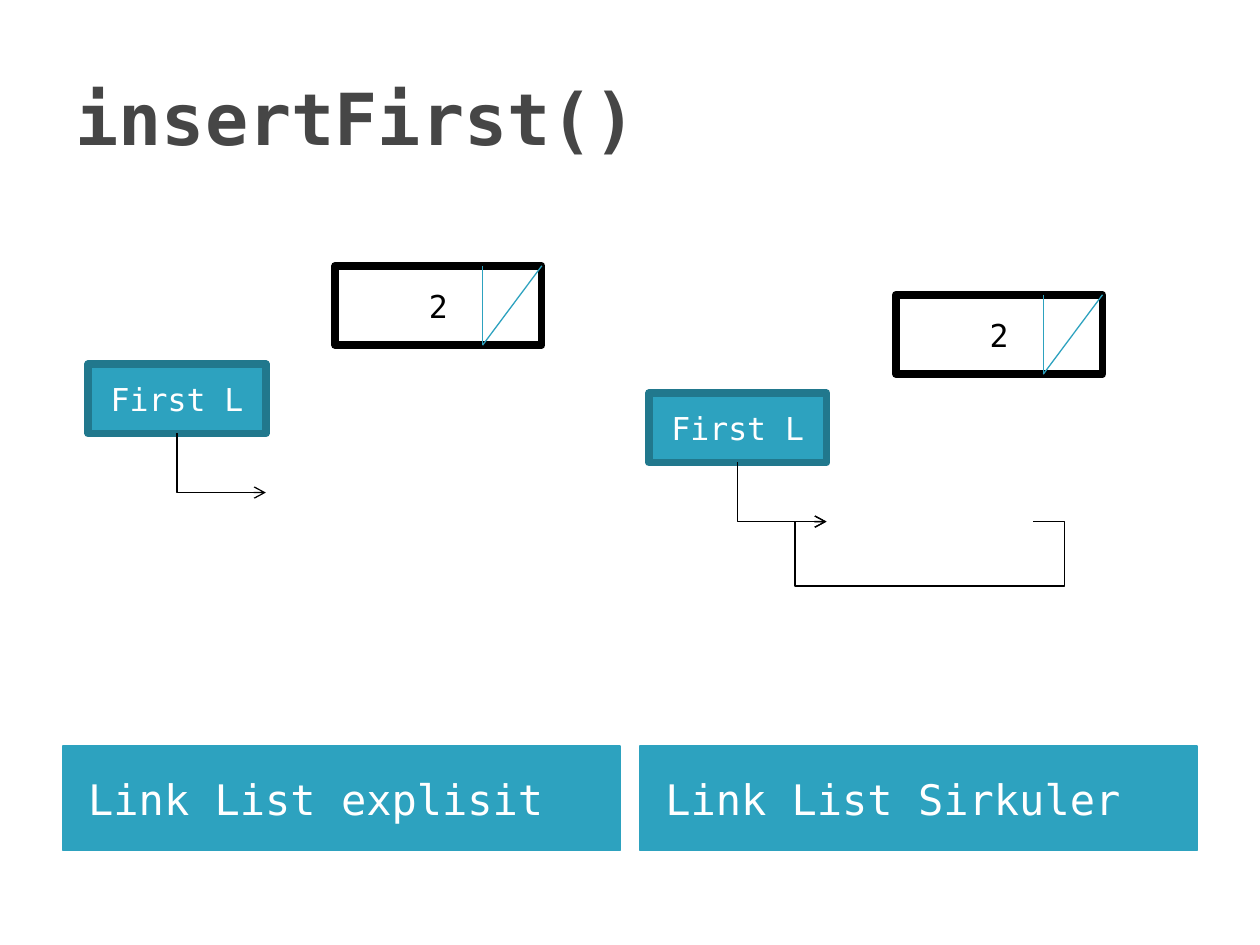
from dataclasses import dataclass

from pptx import Presentation
from pptx.dml.color import RGBColor
from pptx.enum.shapes import MSO_CONNECTOR, MSO_SHAPE
from pptx.enum.text import MSO_ANCHOR, MSO_AUTO_SIZE, PP_ALIGN
from pptx.oxml.ns import qn
from pptx.util import Inches, Pt
from lxml.etree import SubElement


@dataclass(frozen=True)
class Theme:
    font: str = "DejaVu Sans Mono"
    accent: str = "2DA2BF"
    accent_dark: str = "21788D"
    heading: str = "464646"
    black: str = "000000"
    white: str = "FFFFFF"
    title_size: float = 41
    caption_size: float = 24
    label_size: float = 18
    thin: float = 0.75
    thick: float = 4.33


def set_text(shape, text, *, size, color, font, bold=False, align=PP_ALIGN.LEFT,
             space_before=0, inset=0.1):
    frame = shape.text_frame
    frame.text = text
    frame.word_wrap = True
    frame.auto_size = MSO_AUTO_SIZE.NONE
    frame.vertical_anchor = MSO_ANCHOR.MIDDLE
    frame.margin_left, frame.margin_right = Inches(inset), Inches(0.1)
    frame.margin_top = frame.margin_bottom = Inches(0.05)
    paragraph = frame.paragraphs[0]
    paragraph.alignment = align
    paragraph.space_before = Pt(space_before)
    paragraph.font.name = font
    paragraph.font.size = Pt(size)
    paragraph.font.bold = bold
    paragraph.font.color.rgb = RGBColor.from_string(color)


def place(shape, left, top, width, height):
    shape.left, shape.top = Inches(left), Inches(top)
    shape.width, shape.height = Inches(width), Inches(height)


def set_line(shape, color, width):
    shape.line.color.rgb = RGBColor.from_string(color)
    shape.line.width = Pt(width)


def set_fill(shape, color):
    shape.fill.solid()
    shape.fill.fore_color.rgb = RGBColor.from_string(color)


def add_arrowhead(shape, end):
    """Put an open arrowhead on one end of a line: "headEnd" or "tailEnd"."""
    SubElement(shape.line._get_or_add_ln(), qn(f"a:{end}"), type="arrow")


class ListSlide:
    def __init__(self, presentation, theme):
        self.theme = theme
        self.slide = presentation.slides.add_slide(presentation.slide_layouts[4])
        for index in (2, 4):
            placeholder = self.slide.placeholders[index]
            placeholder.element.getparent().remove(placeholder.element)

    def title(self, text):
        title = self.slide.shapes.title
        place(title, 0.5, 0.3, 9, 1.25)
        set_text(title, text, size=self.theme.title_size, color=self.theme.heading,
                 font=self.theme.font, bold=True)

    def caption(self, index, left, text):
        caption = self.slide.placeholders[index]
        place(caption, left, 5.92, 4.42, 0.83)
        set_fill(caption, self.theme.accent)
        set_line(caption, self.theme.accent, self.theme.thin)
        set_text(caption, text, size=self.theme.caption_size, color=self.theme.white,
                 font=self.theme.font, inset=0.2)

    def box(self, shapes, bounds, text, fill, line, color):
        box = shapes.add_shape(MSO_SHAPE.RECTANGLE, *map(Inches, bounds))
        box.shadow.inherit = False
        set_fill(box, fill)
        set_line(box, line, self.theme.thick)
        set_text(box, text, size=self.theme.label_size, color=color,
                 font=self.theme.font, align=PP_ALIGN.CENTER)

    def connector(self, shapes, kind, start, end, color):
        connector = shapes.add_connector(kind, *map(Inches, (*start, *end)))
        set_line(connector, color, self.theme.thin)
        SubElement(connector.element.spPr, qn("a:effectLst"))
        return connector

    def node(self, left, top, text):
        """Draw a list node whose pointer field is struck through as nil."""
        width, height, pointer_width = 1.64, 0.63, 0.47
        right, bottom = left + width, top + height
        divider = right - pointer_width
        shapes = self.slide.shapes.add_group_shape().shapes
        self.box(shapes, (left, top, width, height), text,
                 self.theme.white, self.theme.black, self.theme.black)
        for start_x in (divider, right):
            self.connector(shapes, MSO_CONNECTOR.STRAIGHT, (start_x, top),
                           (divider, bottom), self.theme.accent)

    def first_pointer(self, left, top, text):
        """Draw the head box and an elbow arrow from its bottom centre."""
        width, height = 1.41, 0.55
        self.box(self.slide.shapes, (left, top, width, height), text,
                 self.theme.accent, self.theme.accent_dark, self.theme.white)
        bottom = top + height
        tip = (left + width, bottom + 0.47)
        elbow = self.connector(self.slide.shapes, MSO_CONNECTOR.ELBOW, tip,
                               (left + width / 2, bottom), self.theme.black)
        elbow.element.spPr.find(qn("a:prstGeom")).set("prst", "bentConnector2")
        add_arrowhead(elbow, "headEnd")

    def loop_arrow(self, points):
        (start_x, start_y), *others = [(Inches(x), Inches(y)) for x, y in points]
        builder = self.slide.shapes.build_freeform(start_x, start_y)
        builder.add_line_segments(others, close=False)
        loop = builder.convert_to_shape()
        loop.shadow.inherit = False
        loop.fill.background()
        set_line(loop, self.theme.black, self.theme.thin)
        add_arrowhead(loop, "tailEnd")


def main():
    presentation = Presentation()
    presentation.slide_width, presentation.slide_height = Inches(10), Inches(7.5)
    page = ListSlide(presentation, Theme())
    page.title("insertFirst()")
    page.caption(1, 0.5, "Link List explisit")
    page.caption(3, 5.08, "Link List Sirkuler")

    for shift_x, shift_y in ((0, 0), (4.45, 0.23)):
        page.first_pointer(0.7 + shift_x, 2.89 + shift_y, "First L")
        page.node(2.66 + shift_x, 2.11 + shift_y, "2")

    page.loop_arrow([(8.2, 4.14), (8.45, 4.14), (8.45, 4.65),
                     (6.31, 4.65), (6.31, 4.14), (6.56, 4.14)])
    presentation.save("out.pptx")


if __name__ == "__main__":
    main()
